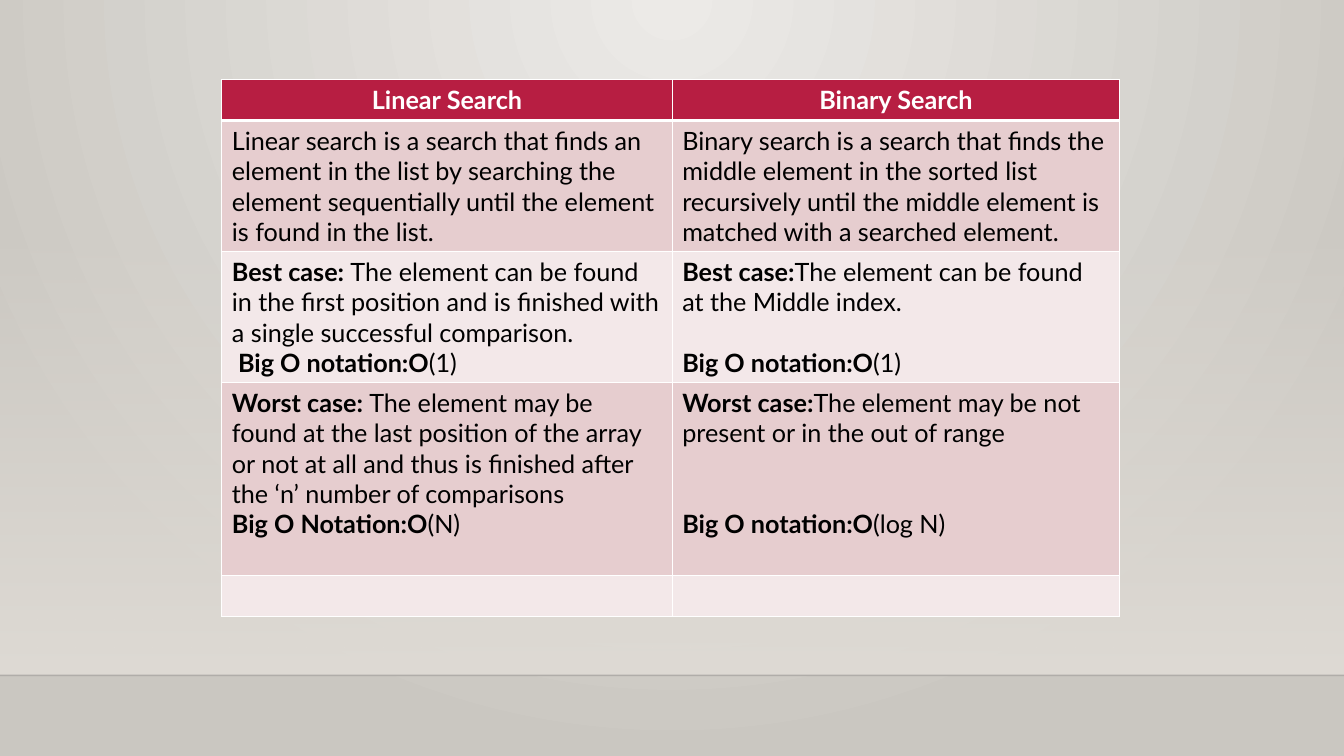
from lxml import etree
from pptx import Presentation
from pptx.dml.color import RGBColor
from pptx.enum.shapes import MSO_CONNECTOR, MSO_SHAPE
from pptx.enum.text import PP_ALIGN
from pptx.oxml import parse_xml
from pptx.oxml.ns import nsdecls, qn
from pptx.util import Cm, Pt

LINE, RECT = MSO_CONNECTOR.STRAIGHT, MSO_SHAPE.RECTANGLE
CENTER = PP_ALIGN.CENTER
FONT, SIZE, LEAD = "Lato", 18, 21.6
HUES = {"head": "B71E42", "odd": "E6CDCF", "even": "F3E8E9",
        "white": "FFFFFF", "black": "000000", "rule": "000001",
        "light": "ECEAE7", "dark": "CAC7C1", "wall": "DFDBD5"}

# Each paragraph: bold part, plain part, lines left free above it
ROWS = [
    [[("Linear Search", "", 0)], [("Binary Search", "", 0)]],
    [[("", "Linear search is a search that finds an element in the list by "
       "searching the element sequentially until the element is found in "
       "the list.", 0)],
     [("", "Binary search is a search that finds the middle element in the "
       "sorted list recursively until the middle element is matched with a "
       "searched element.", 0)]],
    [[("Best case:\u00a0", "The element can be found in the first position "
       "and is finished with a single successful comparison.", 0),
      (" Big O notation:O", "(1)", 0)],
     [("Best case:", "The element can be found at the Middle index.", 0),
      ("Big O notation:O", "(1)", 1)]],
    [[("Worst case:\u00a0", "The element may be found at the last position "
       "of the array or not at all and thus is finished after the \u2018n\u2019 "
       "number of comparisons", 0),
      ("Big O Notation:O", "(N)", 0)],
     [("Worst case:", "The element may be not present or in the out of "
       "range", 0),
      ("Big O notation:O", "(log N)", 2)]],
    [[], []],
]
WIDTHS = [11.35, 11.28]
HEIGHTS = [1.03, 3.3, 3.3, 4.85, 1.03]
LEFT, TOP = 5.59, 2.01
WIDE, HIGH = 33.87, 19.05
WALL, FLOOR = 5.61, 17.02


def rgb(name):
    """Return the named colour."""
    return RGBColor.from_string(HUES[name])


def blend(fill, first, last):
    """Give a fill a gradient of two colours."""
    fill.gradient()
    for stop, name, spot in zip(fill.gradient_stops, (first, last), (0, 1)):
        stop.color.rgb = rgb(name)
        stop.position = spot


def fade(part, share):
    """Set the opacity of the first colour in a part, in percent."""
    hue = part.element.spPr.find(".//" + qn("a:srgbClr"))
    etree.SubElement(hue, qn("a:alpha")).set("val", str(share * 1000))


def backdrop(slide):
    """Draw the round glow, the wall and the floor line."""
    blend(slide.background.fill, "light", "dark")
    lin = slide.element.find(".//" + qn("a:lin"))
    glow = parse_xml(
        f'<a:path {nsdecls("a")} path="circle"><a:fillToRect l="43000" '
        't="0" r="43000" b="100000"/></a:path>')
    lin.getparent().replace(lin, glow)

    wall = slide.shapes.add_shape(RECT, 0, Cm(WALL), Cm(WIDE),
                                  Cm(FLOOR - WALL))
    wall.shadow.inherit = False
    wall.line.fill.background()
    blend(wall.fill, "wall", "wall")
    wall.fill.gradient_angle = 270
    fade(wall, 0)

    edge = slide.shapes.add_connector(LINE, 0, Cm(FLOOR), Cm(WIDE), Cm(FLOOR))
    edge.line.color.rgb = rgb("rule")
    edge.line.width = Pt(1)
    fade(edge, 20)
    etree.SubElement(edge.element.spPr, qn("a:effectLst"))


def border(cell, row):
    """Draw white cell borders, thick below the header."""
    thick = {(0, "B"), (1, "T")}
    for i, side in enumerate("LRTB"):
        width = Pt(3 if (row, side) in thick else 1)
        cell._tc.get_or_add_tcPr().insert(i, parse_xml(
            f'<a:ln{side} {nsdecls("a")} w="{width}"><a:solidFill>'
            f'<a:srgbClr val="{HUES["white"]}"/></a:solidFill></a:ln{side}>'))


def write(cell, paras, head):
    """Write the bold and plain parts of each paragraph."""
    frame = cell.text_frame
    for i, (bold, plain, gap) in enumerate(paras):
        para = frame.add_paragraph() if i else frame.paragraphs[0]
        para.space_before = Pt(gap * LEAD)
        if head:
            para.alignment = CENTER
        for text, strong in ((bold, True), (plain, False)):
            if text:
                run = para.add_run()
                run.text = text
                font = run.font
                font.name, font.size, font.bold = FONT, Pt(SIZE), strong
                font.color.rgb = rgb("white" if head else "black")


def compare(slide):
    """Build the table of the two searches."""
    table = slide.shapes.add_table(
        len(ROWS), len(WIDTHS), Cm(LEFT), Cm(TOP),
        Cm(sum(WIDTHS)), Cm(sum(HEIGHTS))).table
    for col, width in zip(table.columns, WIDTHS):
        col.width = Cm(width)
    for r, cells in enumerate(ROWS):
        table.rows[r].height = Cm(HEIGHTS[r])
        tone = "head" if r == 0 else "odd" if r % 2 else "even"
        for c, paras in enumerate(cells):
            cell = table.cell(r, c)
            cell.fill.solid()
            cell.fill.fore_color.rgb = rgb(tone)
            border(cell, r)
            write(cell, paras, r == 0)


deck = Presentation()
deck.slide_width, deck.slide_height = Cm(WIDE), Cm(HIGH)
slide = deck.slides.add_slide(deck.slide_layouts[6])
backdrop(slide)
compare(slide)
deck.save("out.pptx")
